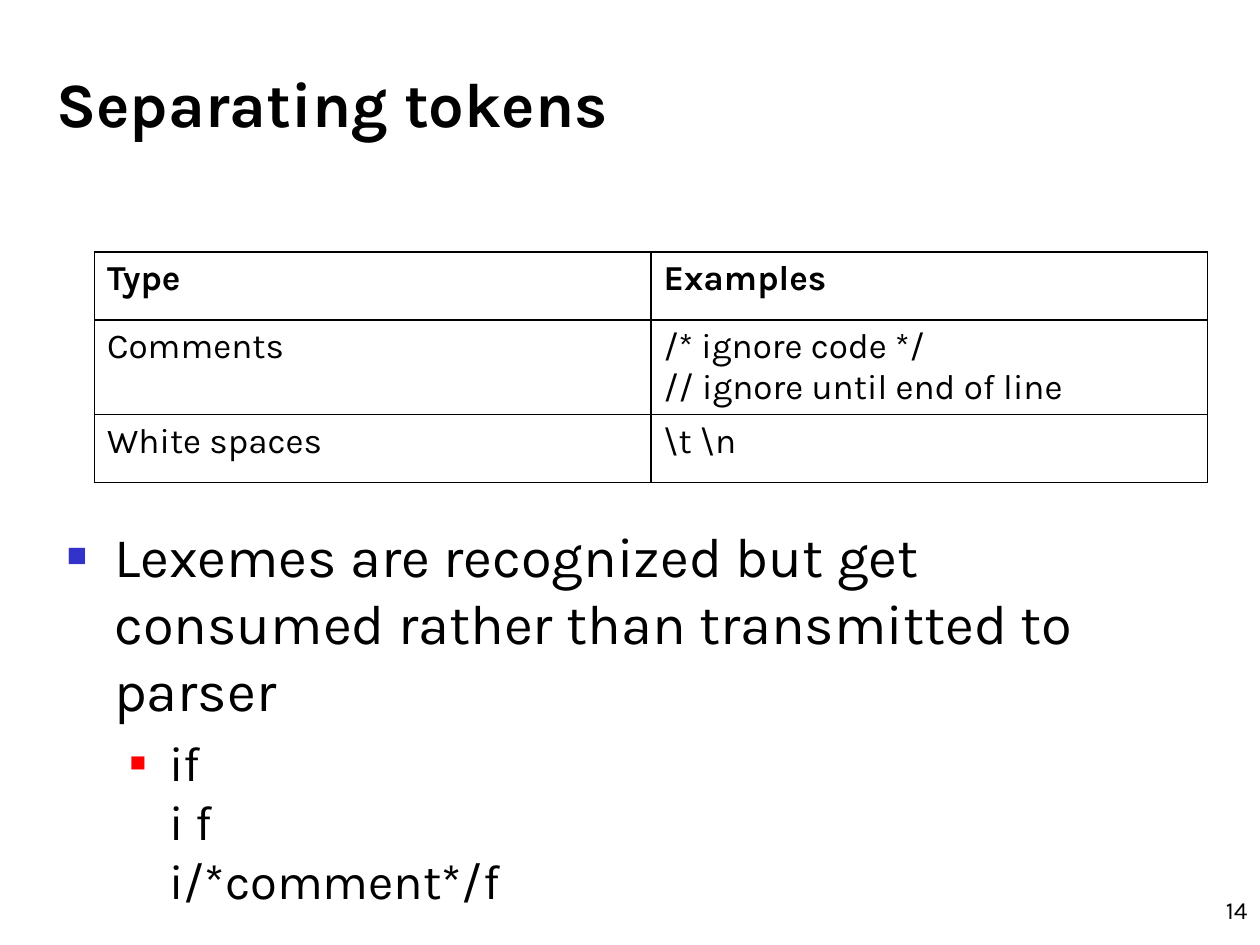
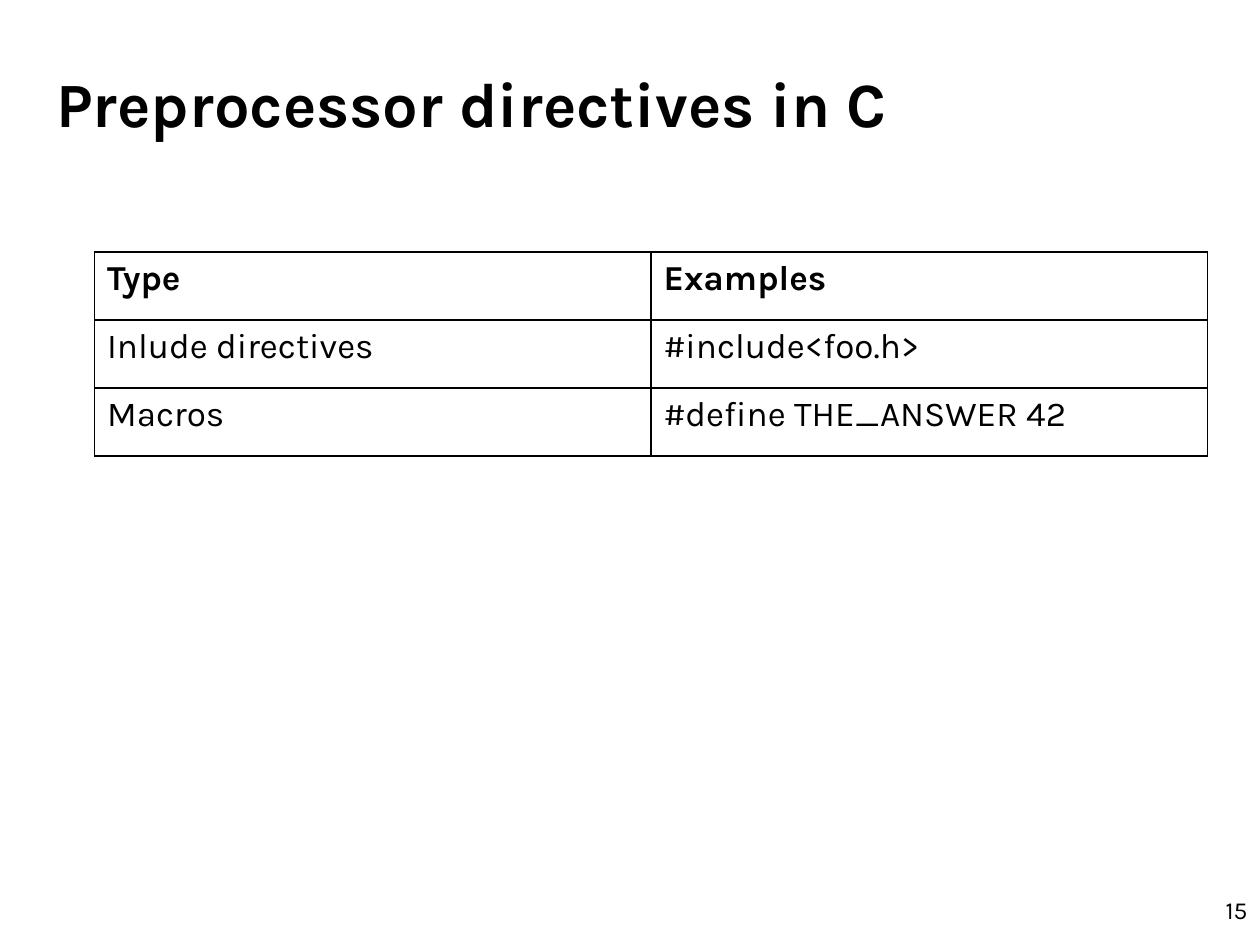
from lxml.etree import SubElement
from pptx import Presentation
from pptx.dml.color import RGBColor
from pptx.enum.text import MSO_ANCHOR, MSO_AUTO_SIZE, PP_ALIGN
from pptx.oxml.ns import qn
from pptx.util import Pt

COLORS = {"ink": "000000", "first_bullet": "3333CC", "second_bullet": "FF0000"}
FORMATS = {
    "title": {"name": "Karla", "size": Pt(36), "bold": True},
    "header": {"name": "Karla", "size": Pt(20), "bold": True},
    "cell": {"name": "Karla", "size": Pt(20), "bold": False},
    "first_level": {"name": "Karla", "size": Pt(32), "bold": False},
    "second_level": {"name": "Karla", "size": Pt(28), "bold": False},
    "number": {"name": "Karla", "size": Pt(14), "bold": False},
}
LEVELS = [
    {"format": "first_level", "color": "first_bullet", "margin": 27, "hang": 27, "percent": 60},
    {"format": "second_level", "color": "second_bullet", "margin": 58.5, "hang": 22.5, "percent": 55},
]
ROW_HEIGHT = 38.9
COLUMN_WIDTH = 318

lessons = [
    {
        "title": "Separating tokens",
        "number": "14",
        "rows": [
            ("Type", "Examples"),
            ("Comments", "/* ignore code */\n// ignore until end of line"),
            ("White spaces", "\\t \\n"),
        ],
        "points": [
            (0, "Lexemes are recognized but get consumed rather than transmitted to parser"),
            (1, "if\ni f\ni/*comment*/f"),
        ],
    },
    {
        "title": "Preprocessor directives in C",
        "number": "15",
        "rows": [
            ("Type", "Examples"),
            ("Inlude directives", "#include<foo.h>"),
            ("Macros", "#define THE_ANSWER 42"),
        ],
        "points": [],
    },
]


def style_text(frame_paragraphs, format_name, align=PP_ALIGN.LEFT):
    for paragraph in frame_paragraphs:
        paragraph.alignment = align
        for run in paragraph.runs:
            for attribute, value in FORMATS[format_name].items():
                setattr(run.font, attribute, value)
            run.font.color.rgb = RGBColor.from_string(COLORS["ink"])


def place(box, left, top, width, height, **frame_settings):
    box.left, box.top, box.width, box.height = Pt(left), Pt(top), Pt(width), Pt(height)
    settings = {"word_wrap": True, "auto_size": MSO_AUTO_SIZE.NONE, **frame_settings}
    for attribute, value in settings.items():
        setattr(box.text_frame, attribute, value)


prs = Presentation()
prs.slide_width, prs.slide_height = Pt(720), Pt(540)

for lesson in lessons:
    layout = prs.slide_layouts[1 if lesson["points"] else 5]
    slide = prs.slides.add_slide(layout)

    heading = slide.shapes.title
    place(heading, 25, 15, 672, 65, vertical_anchor=MSO_ANCHOR.BOTTOM, margin_bottom=0)
    heading.text_frame.text = lesson["title"]
    style_text(heading.text_frame.paragraphs, "title")

    page_number = slide.shapes.add_textbox(0, 0, 0, 0)
    place(page_number, 660, 514, 60, 17.5, vertical_anchor=MSO_ANCHOR.BOTTOM)
    page_number.text_frame.text = lesson["number"]
    style_text(page_number.text_frame.paragraphs, "number", PP_ALIGN.RIGHT)

    rows = lesson["rows"]
    examples = slide.shapes.add_table(
        len(rows), 2, Pt(54), Pt(144), Pt(2 * COLUMN_WIDTH), Pt(len(rows) * ROW_HEIGHT)
    ).table
    examples.first_row = examples.horz_banding = False
    for column in examples.columns:
        column.width = Pt(COLUMN_WIDTH)
    for row_index, row in enumerate(rows):
        examples.rows[row_index].height = Pt(ROW_HEIGHT)
        for column_index, entry in enumerate(row):
            cell = examples.cell(row_index, column_index)
            cell.text = entry
            style_text(cell.text_frame.paragraphs, "cell" if row_index else "header")
            properties = cell._tc.get_or_add_tcPr()
            for edge in ("lnL", "lnR", "lnT", "lnB"):
                border = SubElement(properties, qn(f"a:{edge}"), w=str(Pt(1)))
                paint = SubElement(border, qn("a:solidFill"))
                SubElement(paint, qn("a:srgbClr"), val=COLORS["ink"])
            cell.fill.background()

    if lesson["points"]:
        explanation = slide.placeholders[1]
        place(explanation, 31, 298, 658, 187, margin_top=0)
        for index, (depth, sentence) in enumerate(lesson["points"]):
            frame = explanation.text_frame
            point = frame.add_paragraph() if index else frame.paragraphs[0]
            level = LEVELS[depth]
            point.text = sentence.replace("\n", "\v")
            point.level = depth
            point.space_before = Pt(FORMATS[level["format"]]["size"].pt * 0.2)
            style_text([point], level["format"])
            properties = point._p.get_or_add_pPr()
            properties.set("marL", str(Pt(level["margin"])))
            properties.set("indent", str(-Pt(level["hang"])))
            bullet_color = SubElement(properties, qn("a:buClr"))
            SubElement(bullet_color, qn("a:srgbClr"), val=COLORS[level["color"]])
            SubElement(properties, qn("a:buSzPct"), val=str(level["percent"] * 1000))
            SubElement(properties, qn("a:buChar"), char="■")

prs.save("out.pptx")
